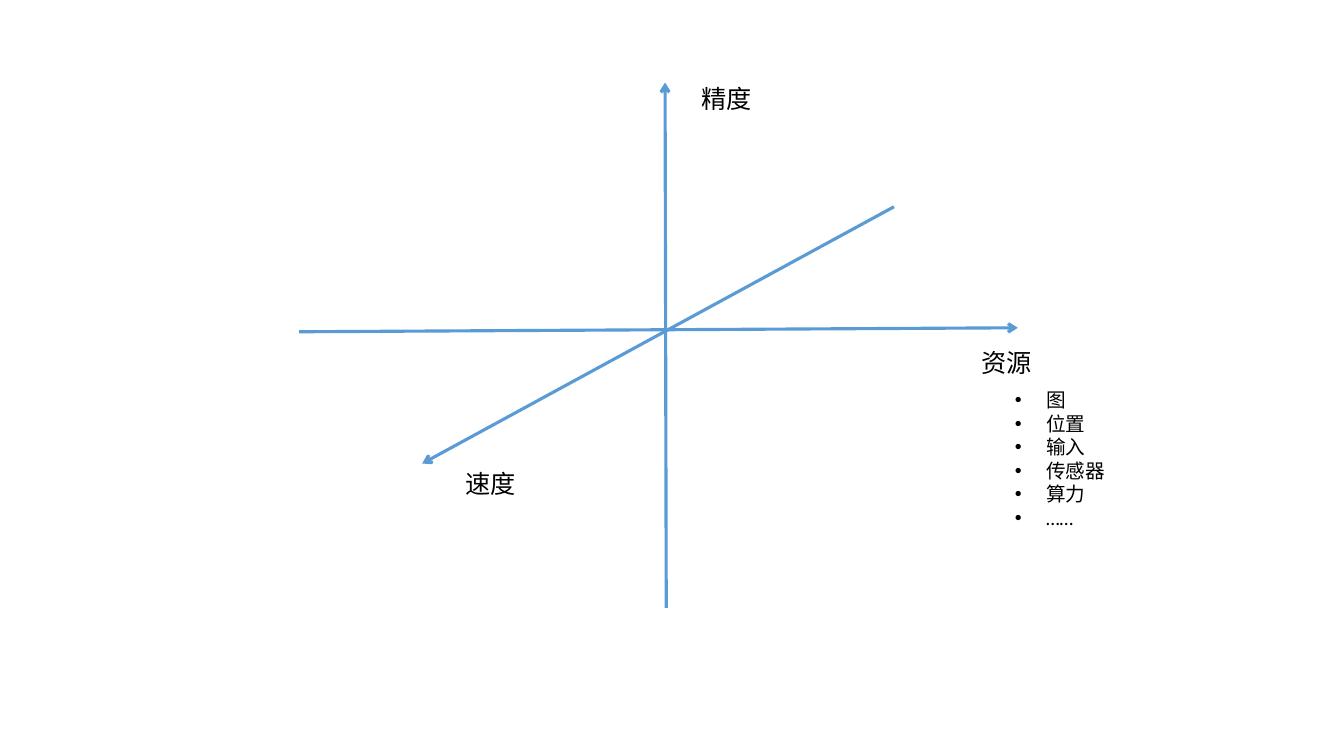
from lxml.etree import SubElement as Sub
from pptx import Presentation
from pptx.dml.color import RGBColor as Rgb
from pptx.enum.shapes import MSO_CONNECTOR as Link
from pptx.enum.text import MSO_ANCHOR as Anchor, MSO_AUTO_SIZE as Fit
from pptx.oxml.ns import qn
from pptx.util import Cm, Pt

COLORS = {"axis": "5B9BD5", "text": "000000"}
FONT = "Calibri"
AXES = [
    ("资源", (0, 6.28), (18.11, 6.18), (16.95, 6.56)),
    ("精度", (9.25, 13.24), (9.22, 0), (9.88, -0.1)),
    ("速度", (14.99, 3.13), (3.1, 9.6), (3.94, 9.6)),
]
ITEMS = ["图", "位置", "输入", "传感器", "算力", "……"]


def style(frame, size):
    """Format every run of a text frame that hugs its text."""
    frame.word_wrap = False
    frame.auto_size = Fit.SHAPE_TO_FIT_TEXT
    frame.vertical_anchor = Anchor.TOP
    for para in frame.paragraphs:
        para.space_before = Pt(0)
        for run in para.runs:
            run.font.size = Pt(size)
            run.font.name = FONT
            run.font.color.rgb = Rgb.from_string(COLORS["text"])


def draw_axis(slide, start, end):
    """Draw one axis with an open arrowhead at its end."""
    axis = slide.shapes.add_connector(Link.STRAIGHT, *start, *end)
    axis.line.color.rgb = Rgb.from_string(COLORS["axis"])
    axis.line.width = Pt(2.25)
    Sub(axis.line._get_or_add_ln(), qn("a:tailEnd"), type="arrow")
    Sub(axis._element.spPr, qn("a:effectLst"))


def draw_axes(slide, left, top):
    """Draw the three labelled axes from the box's top left corner."""
    for name, *points in AXES:
        start, end, spot = [(left + Cm(x), top + Cm(y)) for x, y in points]
        draw_axis(slide, start, end)
        label = slide.shapes.add_textbox(*spot, Cm(1.78), Cm(1.02))
        label.text_frame.text = name
        style(label.text_frame, 18)


def fill_list(slide, left, top, width, height):
    """Place the bulleted resources in the body placeholder."""
    body = slide.placeholders[1]
    body.left, body.top, body.width, body.height = left, top, width, height
    frame = body.text_frame
    frame.text = "\n".join(ITEMS)
    style(frame, 14)
    for para in frame.paragraphs:
        props = para._p.get_or_add_pPr()
        props.set("marL", str(Cm(0.79)))
        props.set("indent", str(-Cm(0.79)))
        Sub(props, qn("a:buFont"), typeface="Arial")
        Sub(props, qn("a:buChar"), char="•")


def main():
    """Build the slide and save it."""
    deck = Presentation()
    deck.slide_width, deck.slide_height = Cm(33.87), Cm(19.05)
    slide = deck.slides.add_slide(deck.slide_layouts[1])
    title = slide.shapes.title._element
    title.getparent().remove(title)
    draw_axes(slide, Cm(7.54), Cm(2.08))
    fill_list(slide, Cm(25.32), Cm(9.65), Cm(2.79), Cm(3.84))
    deck.save("out.pptx")


if __name__ == "__main__":
    main()
